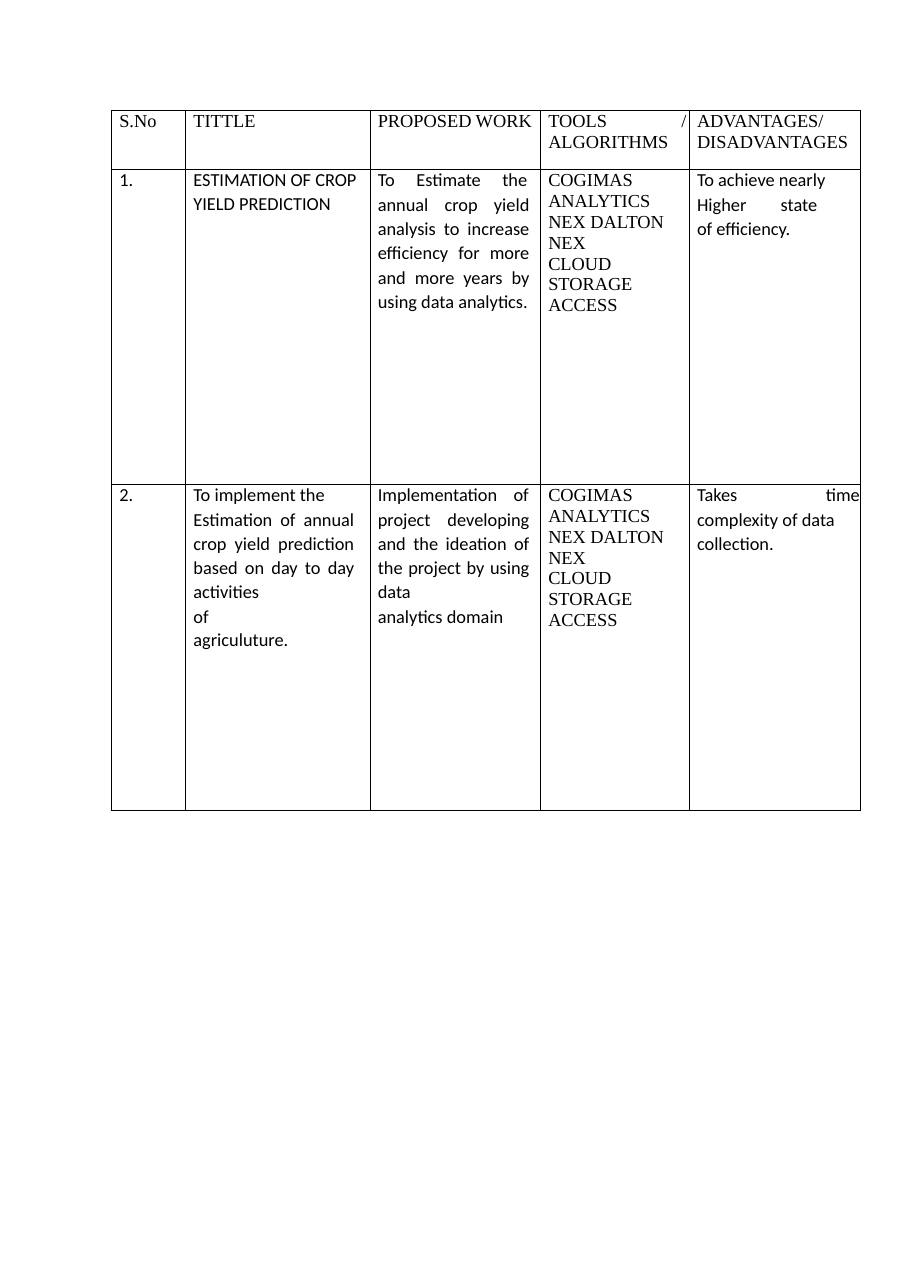
from dataclasses import dataclass

from lxml import etree
from pptx import Presentation
from pptx import util as u
from pptx.dml.color import RGBColor
from pptx.enum import text
from pptx.oxml.ns import qn

SERIF, SANS = "Times New Roman", "Calibri"
INK = "000000"
INDENT = 0.18
COLUMNS = (1.71, 4.25, 3.93, 3.43, 3.95)
ROWS = (1.37, 7.26, 7.5)


@dataclass(frozen=True)
class Para:
    """Lines split at newlines; lengths in cm, line pitch and gap in points."""
    words: str
    pitch: float = 13.8
    gap: float = 0
    right: float = 0
    justified: bool = False
    tabs: tuple[float, ...] = ()


@dataclass(frozen=True)
class Entry:
    font: str
    paras: tuple[Para, ...]


def rgb(value: str) -> RGBColor:
    return RGBColor.from_string(value)


def serif(*paras: Para) -> Entry:
    return Entry(SERIF, paras)


def sans(*paras: Para) -> Entry:
    return Entry(SANS, paras)


def justified(words: str, right: float) -> Para:
    return Para(words, 15.8, 0.7, right, True)


TOOLS = serif(
    Para("COGIMAS"),
    Para("ANALYTICS\nNEX DALTON\nNEX\nCLOUD\nSTORAGE\nACCESS", 13.6),
)

TABLE = (
    (
        serif(Para("S.No")),
        serif(Para("TITTLE")),
        serif(Para("PROPOSED WORK")),
        serif(Para("TOOLS\t/", tabs=(3.1,)), Para("ALGORITHMS")),
        serif(Para("ADVANTAGES/"), Para("DISADVANTAGES")),
    ),
    (
        sans(Para("1.", 14.2)),
        sans(Para("ESTIMATION OF CROP", 14.2), Para("YIELD PREDICTION", 14.6, 1.3)),
        sans(
            Para("To\tEstimate\tthe", 14.2, tabs=(0.89, 2.87)),
            justified(
                "annual crop yield analysis to increase efficiency for more "
                "and more years by using data analytics.",
                0.25,
            ),
        ),
        TOOLS,
        sans(
            Para("To achieve nearly", 14.2),
            Para("Higher\tstate\nof efficiency.", 15.8, 0.7, tabs=(1.93,)),
        ),
    ),
    (
        sans(Para("2.", 14.1)),
        sans(
            Para("To implement the", 14.1),
            justified(
                "Estimation of annual crop yield prediction based on day to day activities\nof",
                0.36,
            ),
            Para("agriculuture.", 14.6, 0.7),
        ),
        sans(
            Para("Implementation\tof", 14.1, tabs=(3.13,)),
            justified(
                "project developing and the ideation of the project by using "
                "data\nanalytics domain",
                0.25,
            ),
        ),
        TOOLS,
        sans(
            Para("Takes\ttime", 14.1, tabs=(2.97,)),
            Para("complexity of data\ncollection.", 15.8, 0.7),
        ),
    ),
)


def format_para(p, para: Para) -> None:
    p.alignment = text.PP_ALIGN.JUSTIFY if para.justified else text.PP_ALIGN.LEFT
    p.line_spacing = u.Pt(para.pitch)
    p.space_before = u.Pt(para.gap)
    props = p._p.get_or_add_pPr()
    props.set("marL", str(u.Cm(INDENT)))
    props.set("marR", str(u.Cm(para.right)))
    if para.tabs:
        stops = etree.SubElement(props, qn("a:tabLst"))
        for stop in para.tabs:
            etree.SubElement(stops, qn("a:tab"), pos=str(u.Cm(stop)), algn="l")


def add_words(p, para: Para, font: str) -> None:
    for i, line in enumerate(para.words.split("\n")):
        if i:
            p.add_line_break()
        r = p.add_run()
        r.text = line
        r.font.name = font
        r.font.size = u.Pt(12)
        r.font.color.rgb = rgb(INK)


def add_borders(cell) -> None:
    props = cell._tc.get_or_add_tcPr()
    for i, side in enumerate(("lnL", "lnR", "lnT", "lnB")):
        line = etree.Element(qn(f"a:{side}"), w=str(u.Pt(0.5)))
        fill = etree.SubElement(line, qn("a:solidFill"))
        etree.SubElement(fill, qn("a:srgbClr"), val=INK)
        props.insert(i, line)


def fill_cell(cell, entry: Entry) -> None:
    cell.margin_left = cell.margin_right = cell.margin_top = cell.margin_bottom = 0
    cell.fill.background()
    add_borders(cell)
    tf = cell.text_frame
    for i, para in enumerate(entry.paras):
        p = tf.add_paragraph() if i else tf.paragraphs[0]
        format_para(p, para)
        add_words(p, para, entry.font)


def add_survey_table(s) -> None:
    table = s.shapes.add_table(
        len(ROWS), len(COLUMNS), u.Cm(2.57), u.Cm(2.54), u.Cm(sum(COLUMNS)), u.Cm(sum(ROWS))
    ).table
    table.first_row = table.horz_banding = False
    for column, width in zip(table.columns, COLUMNS):
        column.width = u.Cm(width)
    for row, height, entries in zip(table.rows, ROWS, TABLE):
        row.height = u.Cm(height)
        for cell, entry in zip(row.cells, entries):
            fill_cell(cell, entry)


def main() -> None:
    prs = Presentation()
    prs.slide_width, prs.slide_height = u.Cm(20.98), u.Cm(29.69)
    s = prs.slides.add_slide(prs.slide_layouts[6])
    add_survey_table(s)
    prs.save("out.pptx")


if __name__ == "__main__":
    main()
